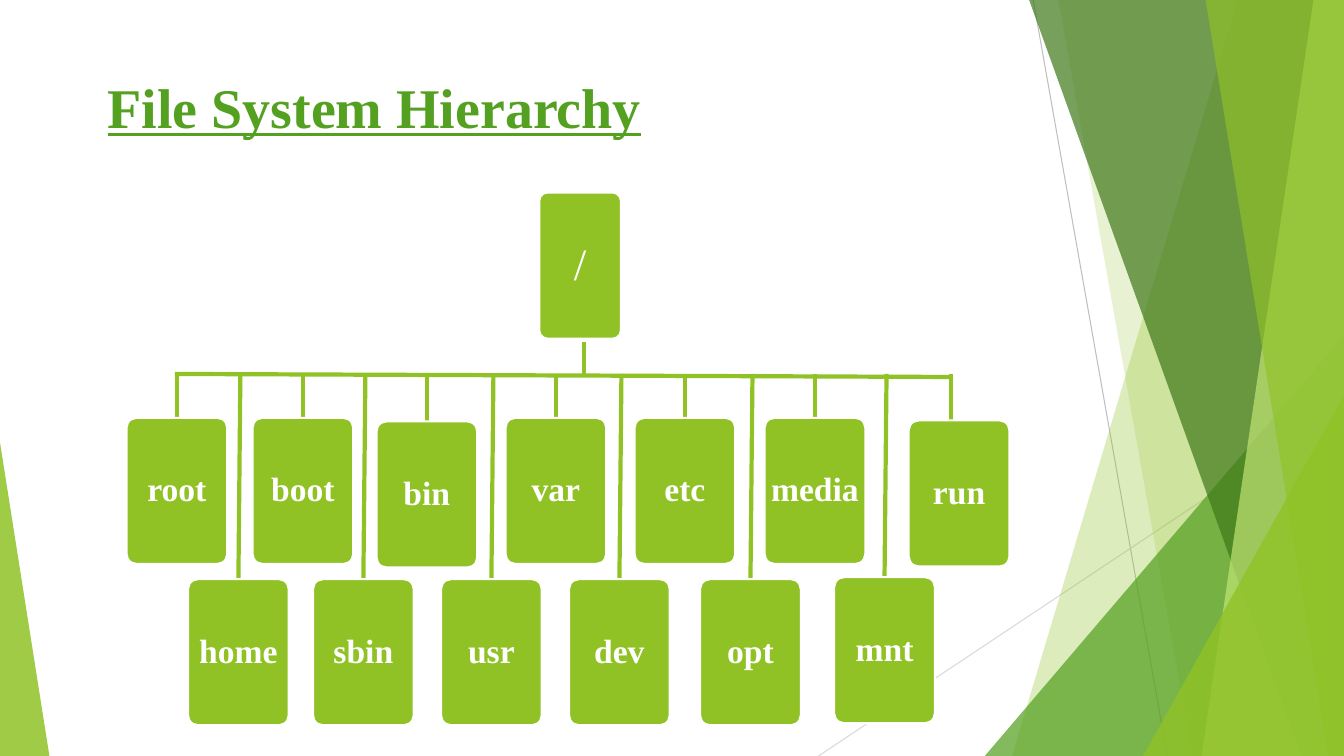
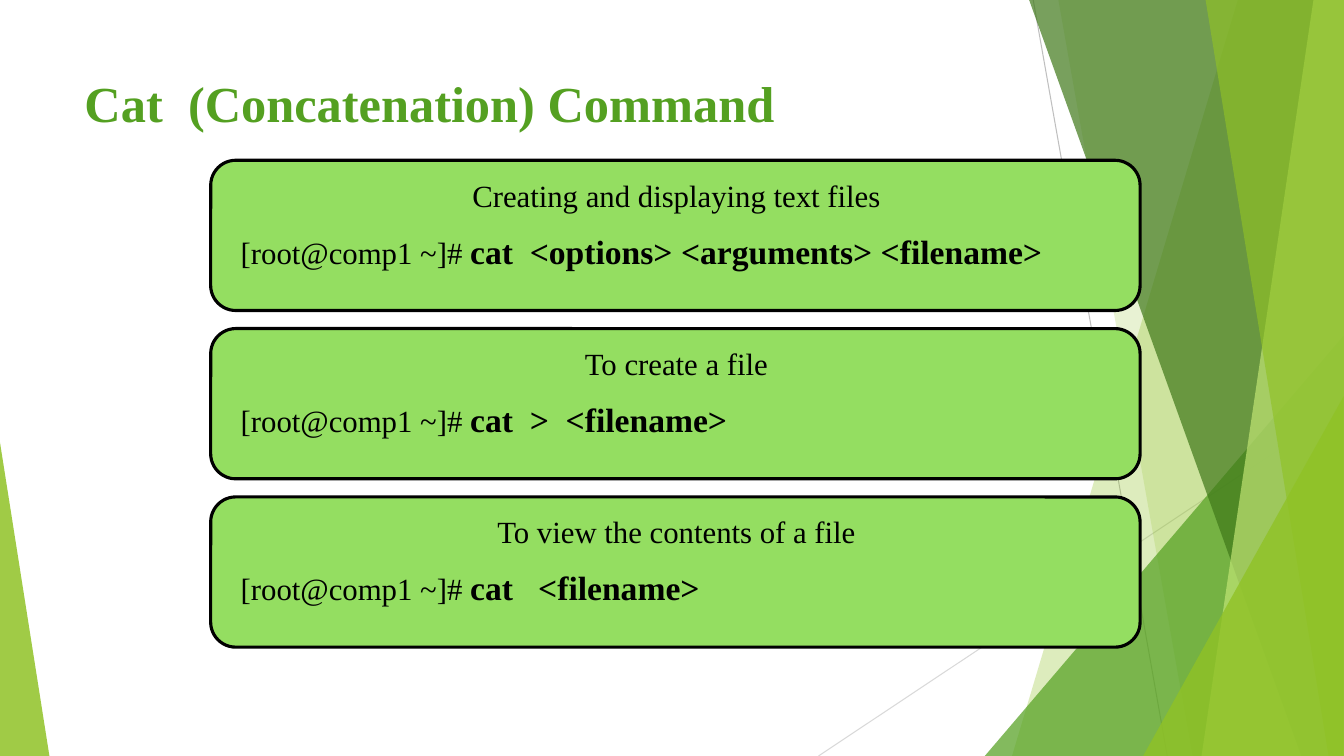
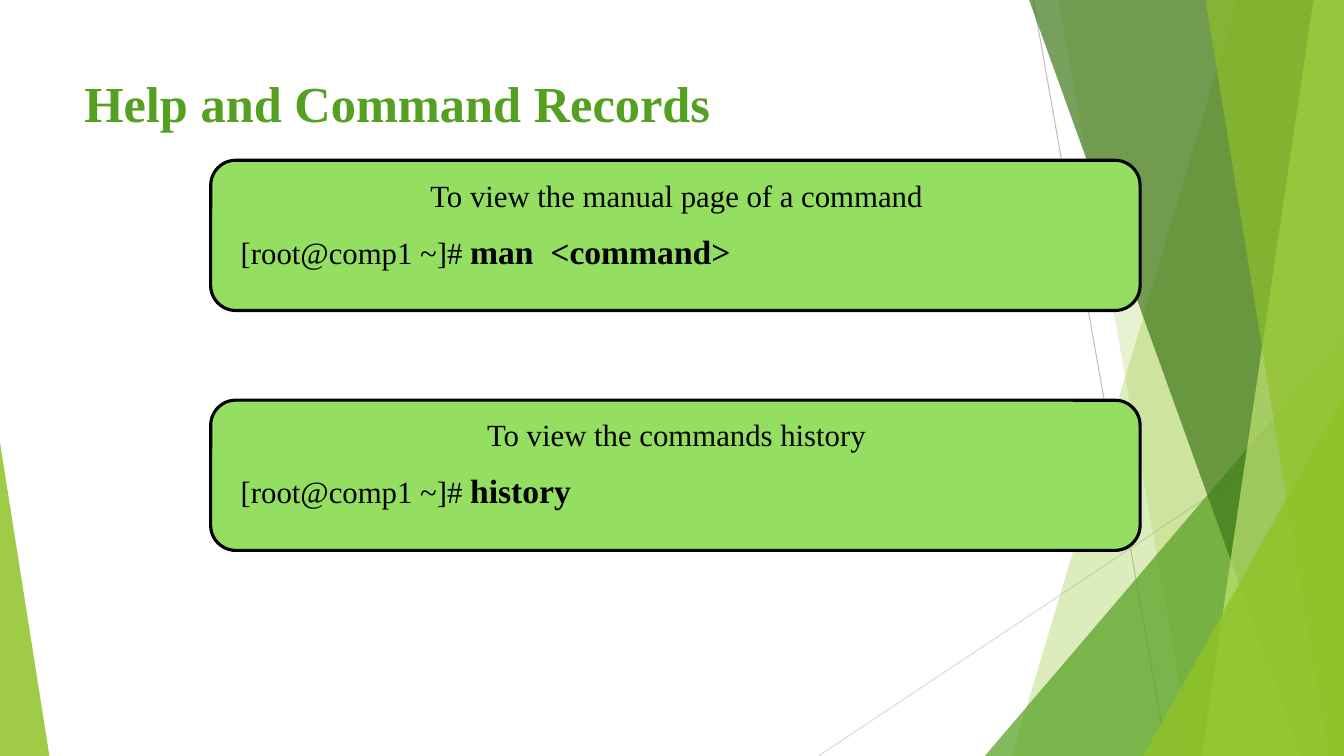
from pptx import Presentation
from pptx.dml.color import RGBColor
from pptx.enum.shapes import MSO_CONNECTOR, MSO_SHAPE
from pptx.enum.text import MSO_ANCHOR, PP_ALIGN
from pptx.oxml.ns import qn
from pptx.util import Inches, Pt
from lxml.etree import SubElement

CELL = Inches(0.1)
COLUMNS, ROWS = 133.33, 75
FONT = "Times New Roman"
COLOURS = {
    "lime": "90C226", "green": "54A021", "forest": "3F7819", "pale": "C0E474",
    "card": "94DE61", "white": "FFFFFF", "black": "000000",
    "grey": "BFBFBF", "silver": "D9D9D9",
}

RAYS = [("grey", 102.5, 0, 115.8, 75), ("silver", COLUMNS, 40.3, 81.2, 75)]
BANDS = [
    ("band", "lime", 30, (122.8, 100.4)),
    ("band", "lime", 20, (105, 118.3)),
    ("wedge", "green", 72, (97.7, 33.3, 35.6, 41.7, 1)),
    ("band", "forest", 70, (102.1, 129.1)),
    ("band", "pale", 70, (130.3, 119.2)),
    ("band", "lime", 65, (119.6, 131.8)),
    ("wedge", "lime", 80, (113.4, 39.3, 19.9, 35.7, 1)),
    ("wedge", "lime", 85, (0, 43.9, 4.9, 31.1, 0)),
]

NODE_WIDTH, NODE_HEIGHT = 10, 14.5
BUS_ROW, LEAN = 37.1, 0.2
UPPER_NODES = [
    ("root", 17.55, 41.45), ("boot", 30.05, 41.45), ("bin", 42.35, 41.8),
    ("var", 55.15, 41.45), ("etc", 67.95, 41.45), ("media", 80.85, 41.45),
    ("run", 95.15, 41.7),
]
LOWER_NODES = [
    ("home", 23.65, 57.45), ("sbin", 36.05, 57.45), ("usr", 48.75, 57.45),
    ("dev", 61.45, 57.45), ("opt", 74.45, 57.45), ("mnt", 87.75, 57.25),
]

CARD_LEFT, CARD_TOP, CARD_WIDTH, CARD_HEIGHT = 20.9, 15.9, 92.2, 14.9
PROMPT = "[root@comp1 ~]# "
CAT_CARDS = [
    ("Creating and displaying text files", "cat  <options> <arguments> <filename>"),
    ("To create a file", "cat  >  <filename>"),
    ("To view the contents of a file", "cat   <filename>"),
]
HELP_CARDS = [
    ("To view the manual page of a command", "man  <command>"),
    ("To view the commands history", "history"),
]


def cells(*counts):
    """Turn counts of grid cells into lengths."""
    return [round(count * CELL) for count in counts]


def colour(name):
    """Look up a colour by name."""
    return RGBColor.from_string(COLOURS[name])


def paint(shape, fill, opacity=100, edge=None, edge_width=0):
    """Give a shape its fill, opacity and outline."""
    shape.shadow.inherit = False
    shape.fill.solid()
    shape.fill.fore_color.rgb = colour(fill)
    if opacity < 100:
        shade = shape.fill._xPr.find(qn("a:solidFill"))[0]
        SubElement(shade, qn("a:alpha"), val=str(opacity * 1000))
    if edge:
        shape.line.color.rgb = colour(edge)
        shape.line.width = Pt(edge_width)
    else:
        shape.line.fill.background()


def add_line(page, hue, width, *ends):
    """Draw a straight line between two grid points."""
    line = page.shapes.add_connector(MSO_CONNECTOR.STRAIGHT, *cells(*ends))
    line.line.color.rgb = colour(hue)
    line.line.width = Pt(width)
    SubElement(line._element.spPr, qn("a:effectLst"))


def add_band(page, top, bottom):
    """Draw a slanted band that reaches the right edge."""
    corners = [(COLUMNS, 0), (COLUMNS, ROWS), (bottom, ROWS)]
    outline = page.shapes.build_freeform(*cells(top, 0))
    outline.add_line_segments([cells(*corner) for corner in corners])
    return outline.convert_to_shape()


def add_wedge(page, left, top, width, height, apex):
    """Draw a triangle whose apex lies at a share of its width."""
    wedge = page.shapes.add_shape(
        MSO_SHAPE.ISOSCELES_TRIANGLE, *cells(left, top, width, height))
    wedge.adjustments[0] = apex
    return wedge


def add_backdrop(page):
    """Draw the rays and translucent bands that every slide shares."""
    for hue, *ends in RAYS:
        add_line(page, hue, 0.75, *ends)
    makers = {"band": add_band, "wedge": add_wedge}
    for kind, fill, opacity, place in BANDS:
        paint(makers[kind](page, *place), fill, opacity)


def style(span, size, hue, bold=False, underline=False):
    """Set the font of a run."""
    span.font.name = FONT
    span.font.size = Pt(size)
    span.font.bold = bold
    span.font.underline = underline
    span.font.color.rgb = colour(hue)


def add_text(page, place, spans, align=PP_ALIGN.LEFT, spacing=None):
    """Add a one-paragraph text box of styled runs."""
    box = page.shapes.add_textbox(*cells(*place))
    box.text_frame.word_wrap = True
    para = box.text_frame.paragraphs[0]
    para.alignment = align
    para.line_spacing = spacing
    for text, *look in spans:
        span = para.add_run()
        span.text = text
        style(span, *look)


def add_page(deck, title, left=7.4, size=36, underline=False):
    """Add a blank slide with the backdrop and a title."""
    page = deck.slides.add_slide(deck.slide_layouts[6])
    add_backdrop(page)
    add_text(page, (left, 6.7, 94, 7.7),
             [(title, size, "green", True, underline)])
    return page


def add_node(page, name, centre, top, width=NODE_WIDTH, size=24, bold=True):
    """Draw one directory of the tree."""
    node = page.shapes.add_shape(
        MSO_SHAPE.ROUNDED_RECTANGLE,
        *cells(centre - width / 2, top, width, NODE_HEIGHT))
    node.adjustments[0] = 0.1
    paint(node, "lime", edge="white", edge_width=1.5)
    frame = node.text_frame
    frame.text = name
    frame.word_wrap = False
    frame.vertical_anchor = MSO_ANCHOR.MIDDLE
    frame.margin_left = frame.margin_right = 0
    para = frame.paragraphs[0]
    para.alignment = PP_ALIGN.CENTER
    para.line_spacing = 0.9
    style(para.runs[0], size, "white", bold)


def add_tree(page):
    """Draw the root, the bus line and two rows of directories."""
    first, last = UPPER_NODES[0][1], UPPER_NODES[-1][1] - 0.8
    add_node(page, "/", 57.55, 19.1, width=8.1, size=32, bold=False)
    add_line(page, "lime", 3, 57.9, 33.9, 57.9, BUS_ROW)
    add_line(page, "lime", 3, first - 0.2, BUS_ROW, last, BUS_ROW + 0.3)
    for name, centre, top in UPPER_NODES:
        drop = min(centre, last)
        add_line(page, "lime", 3, drop, top, drop, BUS_ROW)
        add_node(page, name, centre, top)
    for name, centre, top in LOWER_NODES:
        add_line(page, "lime", 3, centre, top + 0.2, centre + LEAN, BUS_ROW)
        add_node(page, name, centre, top)


def add_cards(page, cards, pitch):
    """Stack command cards at an even pitch."""
    for index, (heading, command) in enumerate(cards):
        top = CARD_TOP + index * pitch
        card = page.shapes.add_shape(
            MSO_SHAPE.ROUNDED_RECTANGLE,
            *cells(CARD_LEFT, top, CARD_WIDTH, CARD_HEIGHT))
        paint(card, "card", edge="black", edge_width=2.25)
        left, width = CARD_LEFT + 2, CARD_WIDTH - 3.8
        add_text(page, (left, top + 1.1, width, 4.7),
                 [(heading, 22, "black")], PP_ALIGN.CENTER)
        add_text(page, (left, top + 6.3, width, 5.2),
                 [(PROMPT, 22, "black"), (command, 24, "black", True)],
                 spacing=Pt(30))


def main():
    """Build and save the deck."""
    deck = Presentation()
    deck.slide_width, deck.slide_height = cells(COLUMNS, ROWS)
    add_tree(add_page(deck, "File System Hierarchy", 9.7, 40, True))
    add_cards(add_page(deck, "Cat  (Concatenation) Command"), CAT_CARDS, 16.7)
    add_cards(add_page(deck, "Help and Command Records"), HELP_CARDS, 23.8)
    deck.save("out.pptx")


if __name__ == "__main__":
    main()
